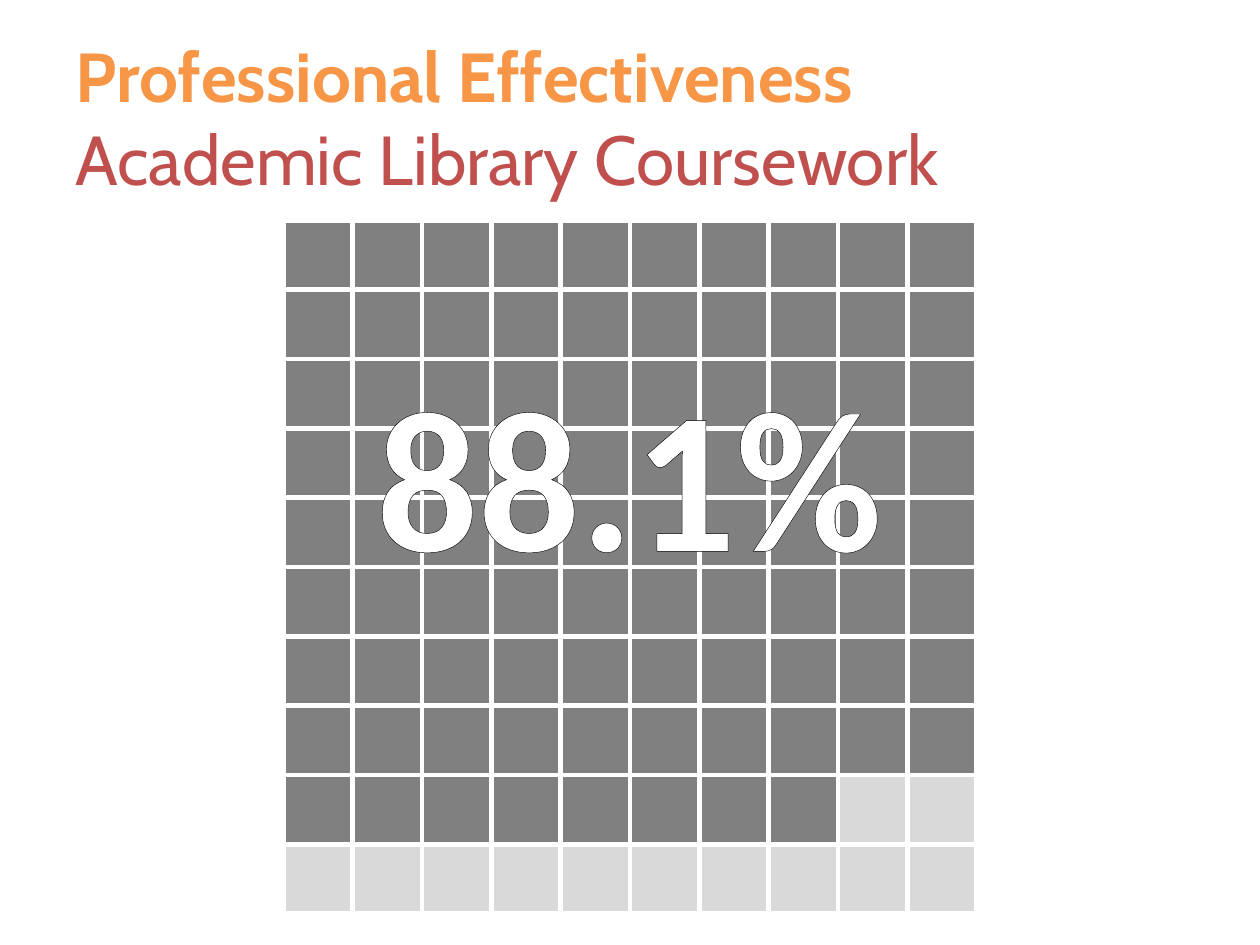
from dataclasses import dataclass

import pptx
import pptx.dml.color
import pptx.enum.text
import pptx.oxml
import pptx.oxml.ns
import pptx.util
from pptx.util import Inches, Pt

GRID_SIZE = 10
CELL_SIZE = 0.55
FILLED_CELLS = 88
FILLED, EMPTY, WHITE, BLACK = "808080", "D9D9D9", "FFFFFF", "000000"


@dataclass
class TitleLine:
    text: str
    color: str
    bold: bool


TITLE_LINES = [
    TitleLine("Professional Effectiveness", "F79646", True),
    TitleLine("Academic Library Coursework", "C0504D", False),
]


def rgb(color: str) -> pptx.dml.color.RGBColor:
    return pptx.dml.color.RGBColor.from_string(color)


def line_xml(tag: str, color: str, width: float):
    """Return a solid line element, used for cell borders and text outlines."""
    return pptx.oxml.parse_xml(
        f'<a:{tag} {pptx.oxml.ns.nsdecls("a")} w="{Pt(width)}">'
        f'<a:solidFill><a:srgbClr val="{color}"/></a:solidFill></a:{tag}>'
    )


def add_title(slide, lines: list[TitleLine]) -> None:
    sp = slide.shapes.title
    sp.left, sp.top = Inches(0.5), Inches(0.3)
    sp.width, sp.height = Inches(9), Inches(1.25)
    tf = sp.text_frame
    tf.vertical_anchor = pptx.enum.text.MSO_ANCHOR.MIDDLE
    p = tf.paragraphs[0]
    p.alignment = pptx.enum.text.PP_ALIGN.LEFT
    p.font.name, p.font.size = "Cabin", Pt(39.6)
    for i, line in enumerate(lines):
        if i:
            p.add_line_break()
        r = p.add_run()
        r.text = line.text
        r.font.bold = line.bold
        r.font.color.rgb = rgb(line.color)


def add_percent_grid(slide, filled: int) -> None:
    """Draw a square table whose first cells, row by row, are dark."""
    side = Inches(GRID_SIZE * CELL_SIZE)
    table = slide.shapes.add_table(
        GRID_SIZE, GRID_SIZE, Inches(2.25), Inches(1.75), side, side
    ).table
    table.first_row = table.horz_banding = False
    for i, cell in enumerate(table.iter_cells()):
        tc_pr = cell._tc.get_or_add_tcPr()
        for tag in ("lnL", "lnR", "lnT", "lnB"):
            tc_pr.append(line_xml(tag, WHITE, 3))
        cell.fill.solid()
        cell.fill.fore_color.rgb = rgb(FILLED if i < filled else EMPTY)


def add_percent_label(slide, text: str) -> None:
    sp = slide.shapes.add_textbox(Inches(2.35), Inches(2.73), Inches(5.29), Inches(2.04))
    tf = sp.text_frame
    tf.word_wrap = True
    tf.auto_size = pptx.enum.text.MSO_AUTO_SIZE.SHAPE_TO_FIT_TEXT
    p = tf.paragraphs[0]
    p.alignment = pptx.enum.text.PP_ALIGN.CENTER
    r = p.add_run()
    r.text = text
    r.font.name, r.font.size, r.font.bold = "Calibri", Pt(115), True
    r.font.color.rgb = rgb(WHITE)
    r._r.get_or_add_rPr().insert(0, line_xml("ln", BLACK, 3))


def main() -> None:
    prs = pptx.Presentation()
    prs.slide_width, prs.slide_height = Inches(10), Inches(7.5)
    slide = prs.slides.add_slide(prs.slide_layouts[5])
    add_title(slide, TITLE_LINES)
    add_percent_grid(slide, FILLED_CELLS)
    add_percent_label(slide, "88.1%")
    prs.save("out.pptx")


if __name__ == "__main__":
    main()
